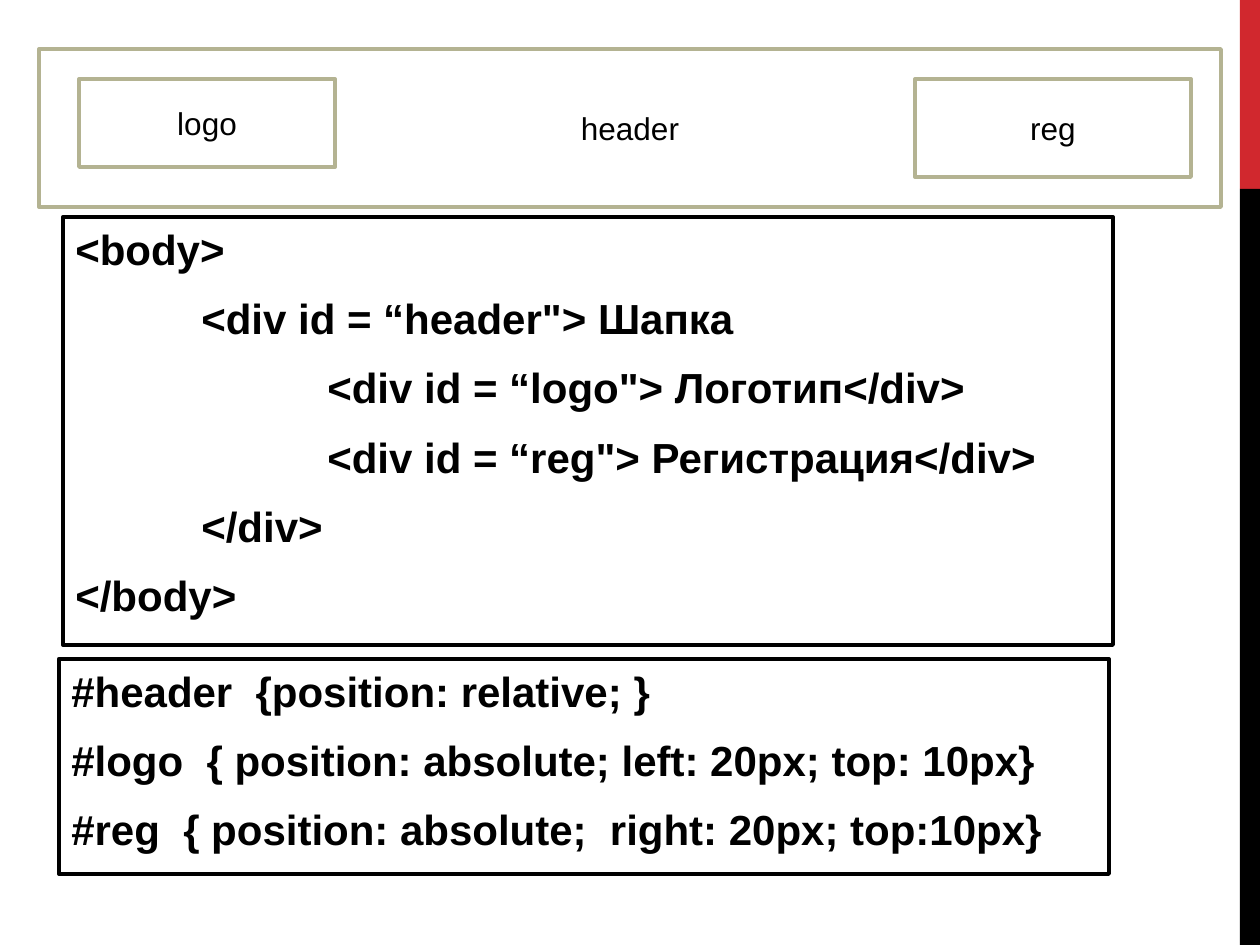
import pptx
import pptx.util
import pptx.dml.color
import pptx.enum.shapes
import pptx.enum.text
import pptx.oxml.ns
import lxml.etree
from dataclasses import dataclass

PX = 914400 // 126  # EMU in one px


@dataclass(frozen=True)
class Theme:
    font: str = "Arial"
    label: int = 18
    code: int = 24
    edge: float = 2.25
    red: str = "D1282E"
    black: str = "000000"
    white: str = "FFFFFF"
    sand: str = "B4B392"


class Deck:
    def __init__(self, theme):
        self.theme = theme
        self.prs = pptx.Presentation()
        self.prs.slide_width = 1260 * PX
        self.prs.slide_height = 945 * PX
        self.slide = self.prs.slides.add_slide(self.prs.slide_layouts[6])

    def rect(self, box, fill, line=None):
        kind = pptx.enum.shapes.MSO_SHAPE.RECTANGLE
        shape = self.slide.shapes.add_shape(kind, *(n * PX for n in box))
        shape.shadow.inherit = False
        shape.fill.solid()
        shape.fill.fore_color.rgb = pptx.dml.color.RGBColor.from_string(fill)
        if line:
            shape.line.color.rgb = pptx.dml.color.RGBColor.from_string(line)
            shape.line.width = pptx.util.Pt(self.theme.edge)
        else:
            shape.line.fill.background()
        return shape

    def style(self, para, size, bold, align):
        para.alignment = align
        para.font.name = self.theme.font
        para.font.size = pptx.util.Pt(size)
        para.font.bold = bold
        para.font.color.rgb = pptx.dml.color.RGBColor.from_string(self.theme.black)

    def tabs(self, para, step, count):
        name = pptx.oxml.ns.qn
        stops = lxml.etree.SubElement(para._p.get_or_add_pPr(), name("a:tabLst"))
        for n in range(1, count + 1):
            stop = lxml.etree.SubElement(stops, name("a:tab"))
            stop.set("pos", str(n * step * PX))
            stop.set("algn", "l")

    def label(self, box, text):
        frame = self.rect(box, self.theme.white, self.theme.sand).text_frame
        frame.vertical_anchor = pptx.enum.text.MSO_ANCHOR.MIDDLE
        para = frame.paragraphs[0]
        para.text = text
        self.style(para, self.theme.label, False, pptx.enum.text.PP_ALIGN.CENTER)

    def code(self, box, lines):
        frame = self.rect(box, self.theme.white, self.theme.black).text_frame
        frame.word_wrap = True
        frame.vertical_anchor = pptx.enum.text.MSO_ANCHOR.TOP
        for i, (depth, text) in enumerate(lines):
            para = frame.add_paragraph() if i else frame.paragraphs[0]
            para.text = "\t" * depth + text
            para.space_before = pptx.util.Pt(4.8)
            para.space_after = pptx.util.Pt(6)
            if depth:
                self.tabs(para, 126, depth)
            self.style(para, self.theme.code, True, pptx.enum.text.PP_ALIGN.LEFT)


def main():
    theme = Theme()
    deck = Deck(theme)

    # Side band
    deck.rect((1240, 0, 20, 189), theme.red)
    deck.rect((1240, 189, 20, 756), theme.black)

    # Page layout sketch
    deck.label((39, 49, 1182, 158), "header")
    deck.label((79, 79, 256, 88), "logo")
    deck.label((915, 79, 276, 98), "reg")

    # Markup, as (tab depth, text)
    deck.code((63, 217, 1050, 428), [
        (0, '<body>'),
        (1, '<div id = “header"> Шапка'),
        (2, '<div id = “logo"> Логотип</div>'),
        (2, '<div id = “reg"> Регистрация</div>'),
        (1, '</div>'),
        (0, '</body>'),
    ])

    # Style rules
    deck.code((59, 659, 1050, 215), [
        (0, "#header  {position: relative; }"),
        (0, "#logo  { position: absolute; left: 20px; top: 10px}"),
        (0, "#reg  { position: absolute;  right: 20px; top:10px}"),
    ])

    deck.prs.save("out.pptx")


if __name__ == "__main__":
    main()
